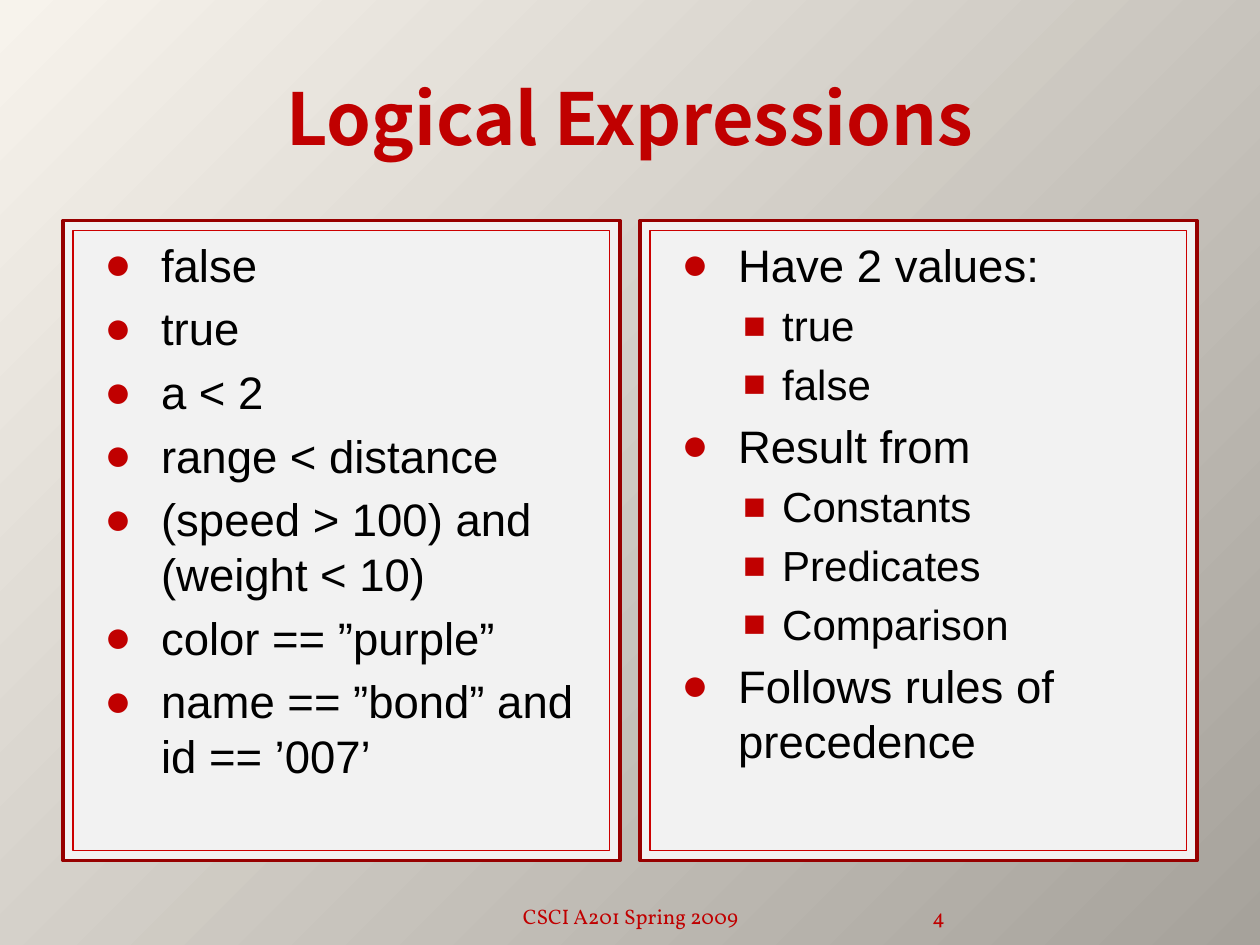
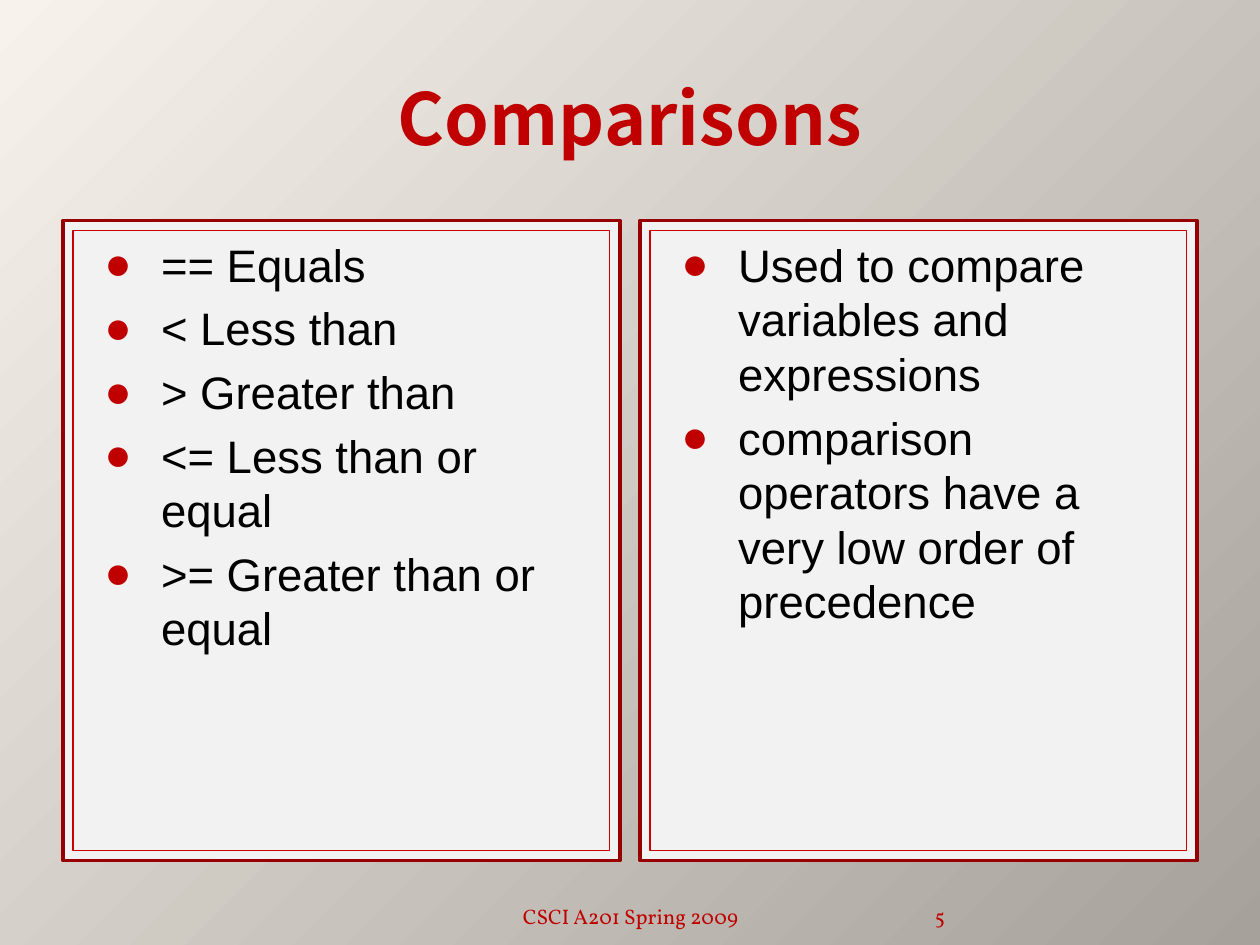
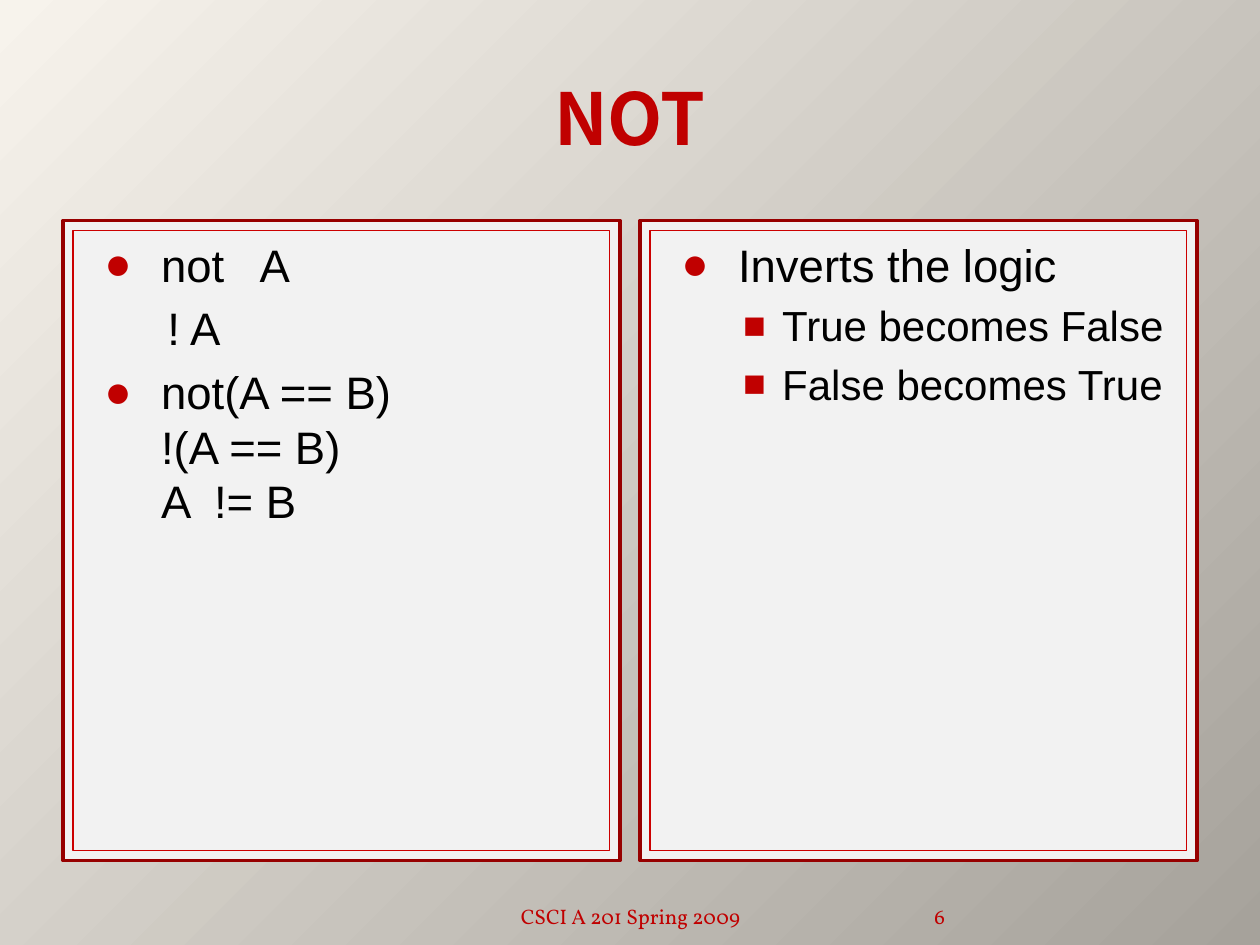
from lxml import etree
from pptx import Presentation
from pptx.dml.color import RGBColor
from pptx.enum.shapes import MSO_SHAPE
from pptx.enum.text import MSO_ANCHOR, PP_ALIGN
from pptx.oxml.ns import qn
from pptx.util import Inches, Pt

RECTANGLE = MSO_SHAPE.RECTANGLE
TOP, MIDDLE, BOTTOM = MSO_ANCHOR.TOP, MSO_ANCHOR.MIDDLE, MSO_ANCHOR.BOTTOM
LEFT, CENTER, RIGHT = PP_ALIGN.LEFT, PP_ALIGN.CENTER, PP_ALIGN.RIGHT

RED, DARK_RED, BRIGHT_RED = "C00000", "970000", "CC0000"
BLACK, PANEL_GRAY = "000000", "F2F2F2"
BACKDROP = ("F7F3EC", "A6A29B")
TITLE_FONT, BODY_FONT, FOOTER_FONT = "Noto Sans CJK SC", "Arial", "Vollkorn"

TITLE_BOX = (0.5, 0.3, 9, 1.25)
PANEL_BOXES = [(left, 1.75, 4.42, 5.08) for left in (0.5, 5.08)]
COURSE_BOX = (3.42, 7.02, 3.17, 0.4)
NUMBER_BOX = (6.67, 7.02, 0.83, 0.4)
INNER_GAP = 0.08
FIRST_NUMBER = 4

POINT, SUBPOINT, PLAIN = "point", "subpoint", "plain"
LEVELS = {
    POINT: (26, 0.6, -0.45, "●", 100),
    SUBPOINT: (24, 0.95, -0.31, "■", 90),
    PLAIN: (26, 0.65, 0, None, None),
}

SLIDES = [
    (
        "Logical Expressions",
        [
            (POINT, "false"),
            (POINT, "true"),
            (POINT, "a < 2"),
            (POINT, "range < distance"),
            (POINT, "(speed > 100) and (weight < 10)"),
            (POINT, "color == ”purple”"),
            (POINT, "name == ”bond” and id == ’007’"),
        ],
        [
            (POINT, "Have 2 values:"),
            (SUBPOINT, "true"),
            (SUBPOINT, "false"),
            (POINT, "Result from"),
            (SUBPOINT, "Constants"),
            (SUBPOINT, "Predicates"),
            (SUBPOINT, "Comparison"),
            (POINT, "Follows rules of precedence"),
        ],
        "CSCI A201 Spring 2009",
    ),
    (
        "Comparisons",
        [
            (POINT, "== Equals"),
            (POINT, "< Less than"),
            (POINT, "> Greater than"),
            (POINT, "<= Less than or equal"),
            (POINT, ">= Greater than or equal"),
        ],
        [
            (POINT, "Used to compare variables and expressions"),
            (POINT, "comparison operators have a very low order of precedence"),
        ],
        "CSCI A201 Spring 2009",
    ),
    (
        "NOT",
        [
            (POINT, "not   A"),
            (PLAIN, "! A"),
            (POINT, "not(A == B)\n!(A == B)\nA  != B"),
        ],
        [
            (POINT, "Inverts the logic"),
            (SUBPOINT, "True becomes False"),
            (SUBPOINT, "False becomes True"),
        ],
        "CSCI A 201 Spring 2009",
    ),
]


def rgb(value):
    return RGBColor.from_string(value)


def set_backdrop(master):
    fill = master.background.fill
    fill.gradient()
    for stop, color in zip(fill.gradient_stops, BACKDROP):
        stop.color.rgb = rgb(color)
    gradient = master.element.find(".//" + qn("a:gradFill"))
    gradient.remove(gradient.find(qn("a:lin")))
    path = etree.SubElement(gradient, qn("a:path"), path="circle")
    etree.SubElement(path, qn("a:fillToRect"), r="100000", b="100000")


def style(paragraph, size, font, color, bold=False):
    paragraph.font.size = Pt(size)
    paragraph.font.name = font
    paragraph.font.bold = bold
    paragraph.font.color.rgb = rgb(color)


def add_line(slide, box, text, size, font, anchor, align, bold=False, side_inset=0.1):
    frame = slide.shapes.add_textbox(*map(Inches, box)).text_frame
    frame.word_wrap = True
    frame.vertical_anchor = anchor
    frame.margin_left = frame.margin_right = Inches(side_inset)
    paragraph = frame.paragraphs[0]
    paragraph.text = text
    paragraph.alignment = align
    style(paragraph, size, font, RED, bold)


def add_frame(slide, box, line_color, line_width):
    frame = slide.shapes.add_shape(RECTANGLE, *map(Inches, box))
    frame.shadow.inherit = False
    frame.fill.solid()
    frame.fill.fore_color.rgb = rgb(PANEL_GRAY)
    frame.line.color.rgb = rgb(line_color)
    frame.line.width = Pt(line_width)
    return frame


def set_bullet(paragraph, indent, hanging, mark, percent):
    properties = paragraph._p.get_or_add_pPr()
    properties.set("marL", str(Inches(indent)))
    properties.set("indent", str(Inches(hanging)))
    if mark is None:
        etree.SubElement(properties, qn("a:buNone"))
        return
    color = etree.SubElement(properties, qn("a:buClr"))
    etree.SubElement(color, qn("a:srgbClr"), val=RED)
    etree.SubElement(properties, qn("a:buSzPct"), val=str(percent * 1000))
    etree.SubElement(properties, qn("a:buFont"), typeface=BODY_FONT)
    etree.SubElement(properties, qn("a:buChar"), char=mark)


def add_panel(slide, box, items):
    left, top, width, height = box
    add_frame(slide, box, DARK_RED, 2)
    inner_box = (
        left + INNER_GAP,
        top + INNER_GAP,
        width - 2 * INNER_GAP,
        height - 2 * INNER_GAP,
    )
    text = add_frame(slide, inner_box, BRIGHT_RED, 0.75).text_frame
    text.word_wrap = True
    text.vertical_anchor = TOP
    for index, (level, wording) in enumerate(items):
        paragraph = text.add_paragraph() if index else text.paragraphs[0]
        paragraph.text = wording
        size, *bullet = LEVELS[level]
        set_bullet(paragraph, *bullet)
        paragraph.alignment = LEFT
        if index:
            paragraph.space_before = Pt(0.2 * size)
        style(paragraph, size, BODY_FONT, BLACK)


def add_footer(slide, course, number):
    add_line(slide, COURSE_BOX, course, 12, FOOTER_FONT, BOTTOM, CENTER)
    add_line(slide, NUMBER_BOX, str(number), 12, FOOTER_FONT, BOTTOM, RIGHT, side_inset=0)


def add_two_panel_slide(deck, number, title, left_items, right_items, course):
    slide = deck.slides.add_slide(deck.slide_layouts[6])
    add_line(slide, TITLE_BOX, title, 41, TITLE_FONT, MIDDLE, CENTER, bold=True)
    for box, items in zip(PANEL_BOXES, (left_items, right_items)):
        add_panel(slide, box, items)
    add_footer(slide, course, number)


def main():
    deck = Presentation()
    deck.slide_width, deck.slide_height = Inches(10), Inches(7.5)
    set_backdrop(deck.slide_master)
    for number, content in enumerate(SLIDES, FIRST_NUMBER):
        add_two_panel_slide(deck, number, *content)
    deck.save("out.pptx")


if __name__ == "__main__":
    main()
